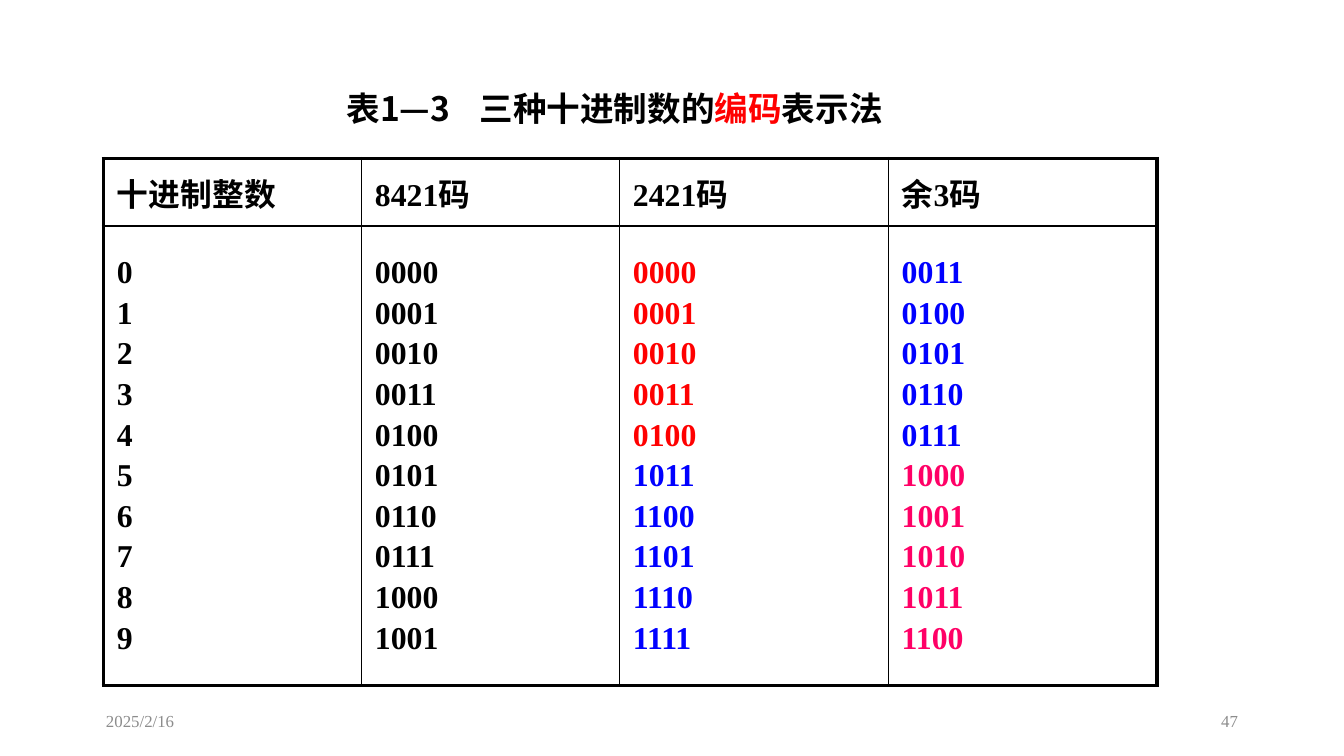
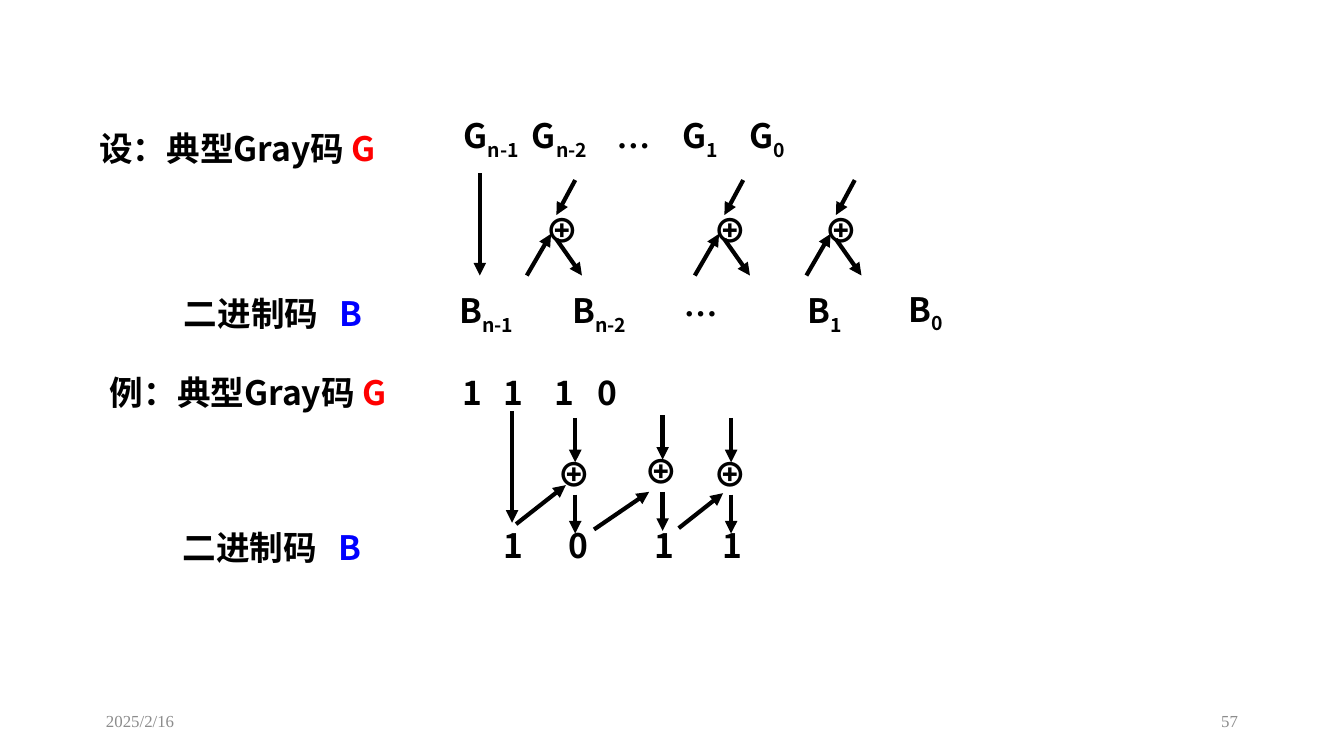
from lxml.etree import SubElement
from pptx import Presentation
from pptx.dml.color import RGBColor
from pptx.enum.shapes import MSO_CONNECTOR
from pptx.enum.text import MSO_ANCHOR, PP_ALIGN
from pptx.oxml.ns import qn
from pptx.util import Pt

BLACK = RGBColor(0, 0, 0)
WHITE = RGBColor(255, 255, 255)
RED = RGBColor(255, 0, 0)
BLUE = RGBColor(0, 0, 255)
PINK = RGBColor(255, 0, 102)
GRAY = RGBColor(140, 140, 140)
SANS = "Noto Sans CJK SC"
SERIF = "Times New Roman"
SCALE = 9144  # EMU per px, 100 px to the inch


def px(n):
    return n * SCALE


def face(font, name):
    """Set the Latin and East Asian typefaces."""
    font.name = name
    SubElement(font._element, qn("a:ea"), typeface=SANS)


def low(text):
    return text, {"low": True}


def tint(text, color):
    return text, {"color": color}


class Deck:
    def __init__(self):
        self.prs = Presentation()
        self.prs.slide_width = px(1000)
        self.prs.slide_height = px(1125) // 2
        self.slide = None

    def page(self, num):
        """Start a slide with its date and number."""
        self.slide = self.prs.slides.add_slide(self.prs.slide_layouts[6])
        for x, text, side in ((69, "2025/2/16", PP_ALIGN.LEFT),
                              (706, num, PP_ALIGN.RIGHT)):
            self.text(x, 521, 225, [text], high=30, size=9, name=SERIF,
                      color=GRAY, bold=False, align=side,
                      anchor=MSO_ANCHOR.MIDDLE)

    def para(self, para, parts, tabs=(), size=18, name=SANS, color=BLACK,
             bold=True):
        """Fill a paragraph; a part is a string or (string, changes)."""
        if tabs:
            stops = SubElement(para._p.get_or_add_pPr(), qn("a:tabLst"))
            for stop in tabs:
                SubElement(stops, qn("a:tab"), pos=str(px(stop)), algn="l")
        font = para.font
        font.size, font.bold = Pt(size), bold
        font.color.rgb = color
        face(font, name)
        for part in parts:
            text, diff = (part, {}) if isinstance(part, str) else part
            run = para.add_run()
            run.text = text
            if "color" in diff:
                run.font.color.rgb = diff["color"]
            if "name" in diff:
                face(run.font, diff["name"])
            if "low" in diff:
                run.font._element.set("baseline", "-25000")

    def text(self, x, y, wide, parts, high=40, align=PP_ALIGN.LEFT,
             anchor=MSO_ANCHOR.TOP, space=None, **style):
        box = self.slide.shapes.add_textbox(px(x), px(y), px(wide), px(high))
        frame = box.text_frame
        frame.word_wrap = True
        frame.vertical_anchor = anchor
        para = frame.paragraphs[0]
        self.para(para, parts, **style)
        para.alignment = align
        if space:
            para.line_spacing = space

    def title(self, x, y, wide, high, parts, tabs=()):
        self.text(x, y, wide, parts, high=high, tabs=tabs, space=0.9)

    def arrow(self, x1, y1, x2, y2):
        line = self.slide.shapes.add_connector(
            MSO_CONNECTOR.STRAIGHT, px(x1), px(y1), px(x2), px(y2))
        line.line.color.rgb = BLACK
        line.line.width = Pt(2.25)
        SubElement(line.line._get_or_add_ln(), qn("a:tailEnd"),
                   type="triangle")
        SubElement(line._element.spPr, qn("a:effectLst"))

    def xor(self, x, y, wide, *arrows):
        """Draw a sum sign and its arrows, measured from its corner."""
        self.text(x, y, wide, ["⊕"])
        for x1, y1, x2, y2 in arrows:
            self.arrow(x + x1, y + y1, x + x2, y + y2)

    def edges(self, cell, widths):
        props = cell._tc.get_or_add_tcPr()
        for i, (side, width) in enumerate(zip("LRTB", widths)):
            line = SubElement(props, qn(f"a:ln{side}"), w=str(Pt(width)))
            fill = SubElement(line, qn("a:solidFill"))
            SubElement(fill, qn("a:srgbClr"), val=str(BLACK))
            props.remove(line)
            props.insert(i, line)

    def table(self, x, y, cols, rows, cells):
        """Draw a table; a cell is a list of (text, colour) lines."""
        grid = self.slide.shapes.add_table(
            len(rows), len(cols), px(x), px(y), px(sum(cols)),
            px(sum(rows))).table
        grid.first_row = grid.horz_banding = False
        for col, wide in zip(grid.columns, cols):
            col.width = px(wide)
        for row, high in zip(grid.rows, rows):
            row.height = px(high)
        for r, row in enumerate(cells):
            for c, lines in enumerate(row):
                cell = grid.cell(r, c)
                cell.fill.solid()
                cell.fill.fore_color.rgb = WHITE
                cell.vertical_anchor = MSO_ANCHOR.MIDDLE
                cell.margin_left = cell.margin_right = px(10)
                cell.margin_top = cell.margin_bottom = px(4)
                outer = (c == 0, c == len(cols) - 1,
                         r == 0, r == len(rows) - 1)
                self.edges(cell, [2.25 if out else 1 for out in outer])
                frame = cell.text_frame
                for i, (text, color) in enumerate(lines):
                    para = frame.add_paragraph() if i else frame.paragraphs[0]
                    self.para(para, [text], size=17, name=SERIF, color=color)
                    if i:
                        para.space_before = Pt(2.8)


def codes(deck):
    deck.page("47")
    deck.title(248, 64, 850, 56,
               ["表1—3\t三种十进制数的", tint("编码", RED), "表示法"], [99])
    heads = ["十进制整数", "8421码", "2421码", "余3码"]
    cols = [[], [], [], []]
    for n in range(10):
        half = n < 5
        cols[0].append((str(n), BLACK))
        cols[1].append((f"{n:04b}", BLACK))
        cols[2].append((f"{n if half else n + 6:04b}", RED if half else BLUE))
        cols[3].append((f"{n + 3:04b}", BLUE if half else PINK))
    deck.table(77, 118, [192, 192, 200, 200], [50, 342],
               [[[(head, BLACK)] for head in heads], cols])


def gray(deck):
    deck.page("57")
    binary = ["二进制码\t", tint("B", BLUE)]

    deck.title(64, 94, 408, 94, ["设：典型Gray码 ", tint("G", RED)])
    deck.text(335, 81, 488,
              ["G", low("n-1"), "\tG", low("n-2"), "\t",
               ("…", {"name": SERIF}), "\tG", low("1"), "\tG", low("0")],
              tabs=[51, 114, 163, 213])
    deck.arrow(357, 129, 357, 205)
    for x in (396, 521, 604):
        deck.xor(x, 151, 27, (32, -17, 18, 9), (18, 27, 37, 54),
                 (-4, 54, 14, 23))
    deck.text(127, 213, 267, binary, tabs=[116])
    for x, y, wide, sub in ((332, 211, 117, "n-1"), (416, 211, 100, "n-2"),
                            (591, 211, 83, "1"), (666, 210, 83, "0")):
        deck.text(x, y, wide, ["B", low(sub)])
    deck.text(499, 206, 75, ["…"], name=SERIF)

    deck.text(72, 272, 800,
              ["例：典型Gray码 ", tint("G", RED), "\t1\t1\t1\t0"],
              tabs=[262, 293, 331, 363])
    deck.arrow(381, 306, 381, 389)
    for x, y, carry in ((405, 333, (-21, 57, 16, 28)),
                        (470, 331, (-28, 63, 13, 35)),
                        (521, 333, (-16, 60, 17, 34))):
        deck.xor(x, y, 36, (23, -22, 23, 11), (23, 35, 23, 64), carry)
    deck.text(126, 387, 283, binary, tabs=[116])
    for x, bit in zip((365, 413, 477, 528), "1011"):
        deck.text(x, 386, 67, [bit])


def main():
    deck = Deck()
    codes(deck)
    gray(deck)
    deck.prs.save("out.pptx")


if __name__ == "__main__":
    main()
